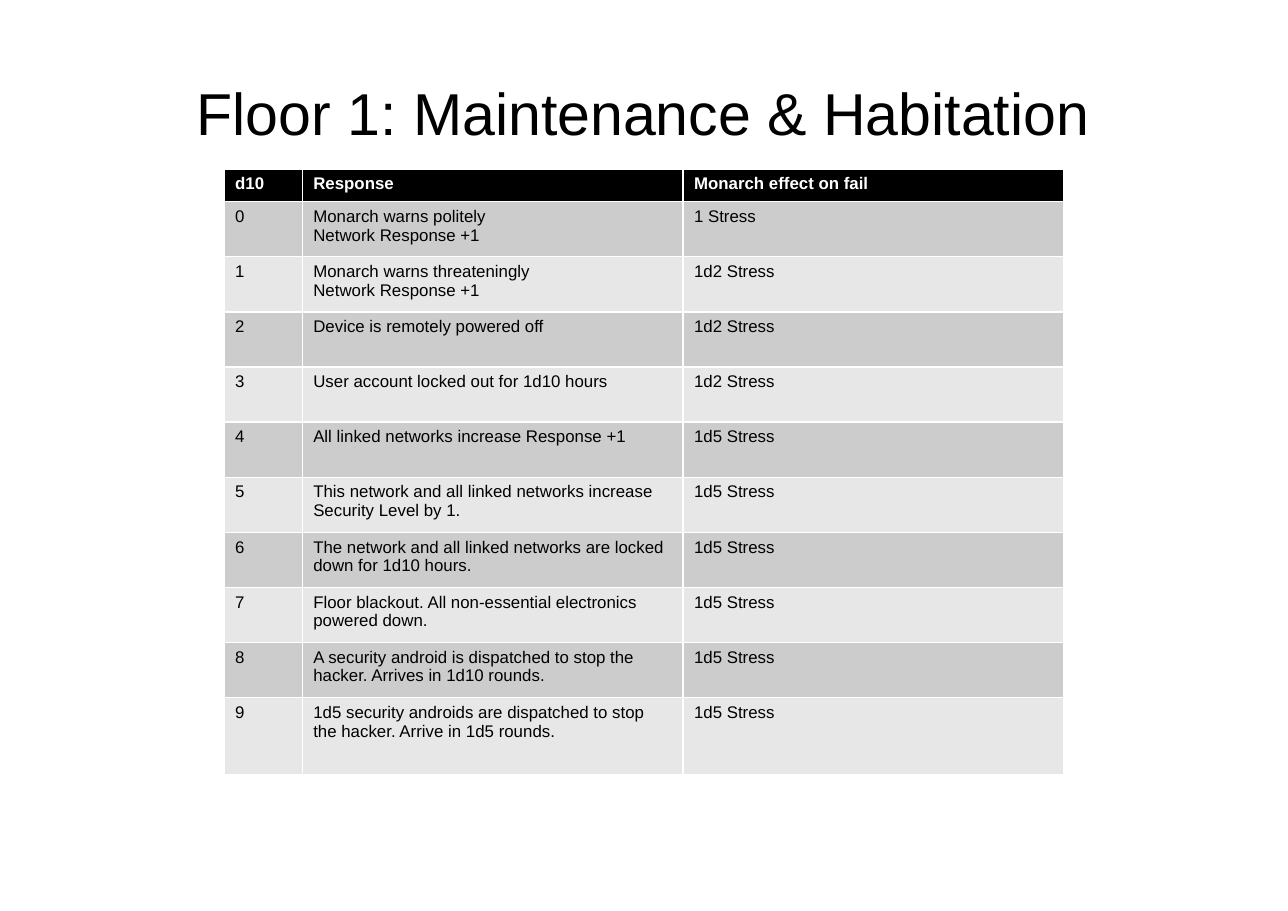
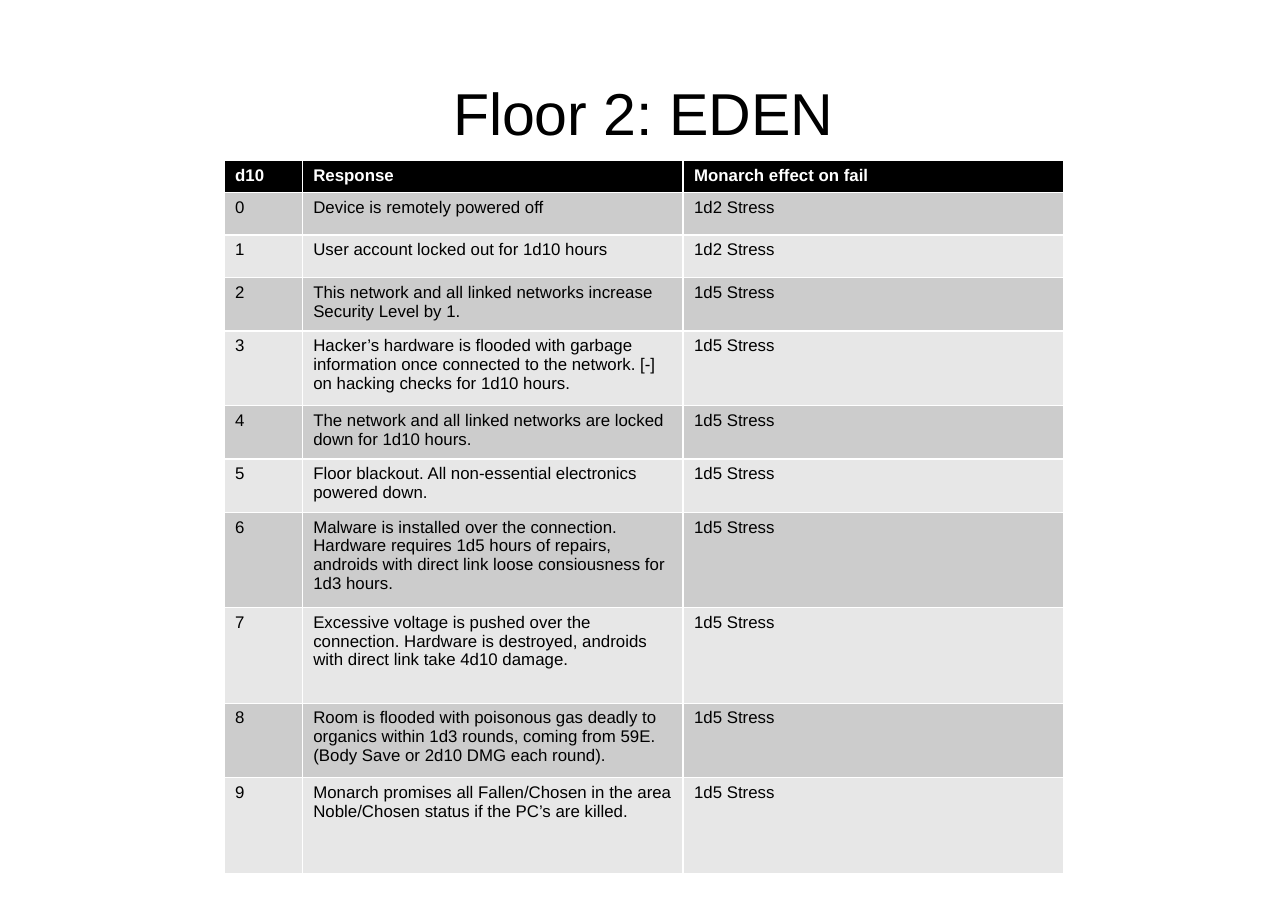
import pptx
import pptx.dml.color
import pptx.enum.text
import pptx.util

Cm = pptx.util.Cm
Pt = pptx.util.Pt


def rgb(hex_code):
    return pptx.dml.color.RGBColor.from_string(hex_code)


def style_text(frame, font_values, hex_code):
    for paragraph in frame.paragraphs:
        for run in paragraph.runs:
            for attribute, value in font_values.items():
                setattr(run.font, attribute, value)
            run.font.color.rgb = rgb(hex_code)


BLACK = "000000"
WHITE = "FFFFFF"
BAND_FILLS = ["CCCCCC", "E7E7E7"]

TITLE_BOX = {"left": Cm(1.48), "top": Cm(0.84), "width": Cm(26.72), "height": Cm(3.5)}
TITLE_FRAME = {
    "vertical_anchor": pptx.enum.text.MSO_ANCHOR.MIDDLE,
    "auto_size": pptx.enum.text.MSO_AUTO_SIZE.NONE,
}
TITLE_FONT = {"name": "Arial", "size": Pt(38.6)}
HEADING_FONT = {"name": "Arial", "size": Pt(11), "bold": True}
BODY_FONT = {"name": "Arial", "size": Pt(11), "bold": False}

HEADINGS = ("d10", "Response", "Monarch effect on fail")
COLUMN_WIDTHS = [1.8, 8.78, 8.78]
TABLE_LEFT = 5.17

POWER_OFF = "Device is remotely powered off"
LOCK_OUT = "User account locked out for 1d10 hours"
SECURITY_UP = "This network and all linked networks increase Security Level by 1."
LOCK_DOWN = "The network and all linked networks are locked down for 1d10 hours."
BLACKOUT = "Floor blackout. All non-essential electronics powered down."

floors = [
    {
        "title": "Floor 1: Maintenance & Habitation",
        "table_top": 3.9,
        "row_heights": [0.75] + [1.27] * 9 + [1.77],
        "responses": [
            ("Monarch warns politely\nNetwork Response +1", "1 Stress"),
            ("Monarch warns threateningly\nNetwork Response +1", "1d2 Stress"),
            (POWER_OFF, "1d2 Stress"),
            (LOCK_OUT, "1d2 Stress"),
            ("All linked networks increase Response +1", "1d5 Stress"),
            (SECURITY_UP, "1d5 Stress"),
            (LOCK_DOWN, "1d5 Stress"),
            (BLACKOUT, "1d5 Stress"),
            ("A security android is dispatched to stop the hacker. "
             "Arrives in 1d10 rounds.", "1d5 Stress"),
            ("1d5 security androids are dispatched to stop the hacker. "
             "Arrive in 1d5 rounds.", "1d5 Stress"),
        ],
    },
    {
        "title": "Floor 2: EDEN",
        "table_top": 3.7,
        "row_heights": [0.74, 0.98, 0.98, 1.23, 1.72, 1.23, 1.23, 2.2, 2.2, 1.72, 2.2],
        "responses": [
            (POWER_OFF, "1d2 Stress"),
            (LOCK_OUT, "1d2 Stress"),
            (SECURITY_UP, "1d5 Stress"),
            ("Hacker’s hardware is flooded with garbage information once connected "
             "to the network. [-] on hacking checks for 1d10 hours.", "1d5 Stress"),
            (LOCK_DOWN, "1d5 Stress"),
            (BLACKOUT, "1d5 Stress"),
            ("Malware is installed over the connection. Hardware requires 1d5 hours "
             "of repairs, androids with direct link loose consiousness for 1d3 hours.",
             "1d5 Stress"),
            ("Excessive voltage is pushed over the connection. Hardware is destroyed, "
             "androids with direct link take 4d10 damage.", "1d5 Stress"),
            ("Room is flooded with poisonous gas deadly to organics within 1d3 rounds, "
             "coming from 59E. (Body Save or 2d10 DMG each round).", "1d5 Stress"),
            ("Monarch promises all Fallen/Chosen in the area Noble/Chosen status "
             "if the PC’s are killed.", "1d5 Stress"),
        ],
    },
]

deck = pptx.Presentation()
deck.slide_width = Cm(29.7)
deck.slide_height = Cm(21)
title_only = deck.slide_layouts[5]

for floor in floors:
    slide = deck.slides.add_slide(title_only)

    floor_title = slide.shapes.title
    for attribute, value in TITLE_BOX.items():
        setattr(floor_title, attribute, value)
    floor_title.text_frame.text = floor["title"]
    for attribute, value in TITLE_FRAME.items():
        setattr(floor_title.text_frame, attribute, value)
    floor_title.text_frame.paragraphs[0].alignment = pptx.enum.text.PP_ALIGN.CENTER
    style_text(floor_title.text_frame, TITLE_FONT, BLACK)

    entries = [HEADINGS]
    for roll, (response, effect) in enumerate(floor["responses"]):
        entries.append((str(roll), response, effect))

    response_table = slide.shapes.add_table(
        len(entries), len(HEADINGS),
        Cm(TABLE_LEFT), Cm(floor["table_top"]),
        Cm(sum(COLUMN_WIDTHS)), Cm(sum(floor["row_heights"])),
    ).table
    for column, width in zip(response_table.columns, COLUMN_WIDTHS):
        column.width = Cm(width)

    for index, (row, height, entry) in enumerate(
            zip(response_table.rows, floor["row_heights"], entries)):
        row.height = Cm(height)
        if index == 0:
            band, font_values, ink = BLACK, HEADING_FONT, WHITE
        else:
            band, font_values, ink = BAND_FILLS[(index - 1) % 2], BODY_FONT, BLACK
        for cell, wording in zip(row.cells, entry):
            cell.text_frame.text = wording
            cell.fill.solid()
            cell.fill.fore_color.rgb = rgb(band)
            style_text(cell.text_frame, font_values, ink)

deck.save("out.pptx")
